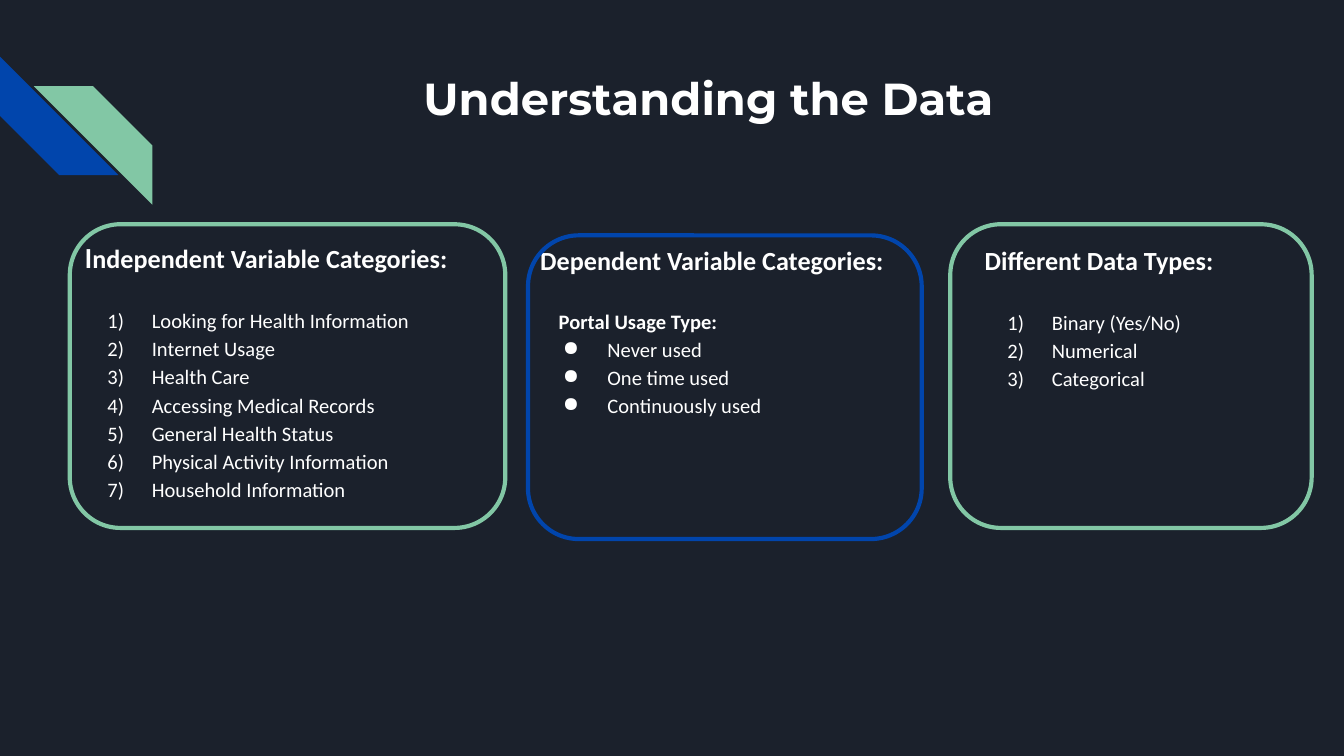
from lxml.etree import SubElement
from pptx import Presentation
from pptx.dml.color import RGBColor
from pptx.enum.shapes import MSO_SHAPE
from pptx.enum.text import PP_ALIGN
from pptx.oxml.ns import qn
from pptx.util import Cm, Pt

NAVY, BLUE, GREEN, WHITE = "1B212C", "0145AC", "82C7A5", "FFFFFF"


def color(hex_value):
    return RGBColor.from_string(hex_value)


class Deck:
    """Holds the text style and the current slide."""

    font_name = "Calibri"
    heading_size, item_size = 14, 11
    line_spacing = 1.15

    def __init__(self, width, height):
        self.presentation = Presentation()
        self.presentation.slide_width = Cm(width)
        self.presentation.slide_height = Cm(height)

    def add_slide(self, background):
        self.slide = self.presentation.slides.add_slide(self.presentation.slide_layouts[6])
        fill = self.slide.background.fill
        fill.solid()
        fill.fore_color.rgb = color(background)

    def stripe(self, left, top, size, rotation, fill):
        stripe = self.slide.shapes.add_shape(
            MSO_SHAPE.DIAGONAL_STRIPE, Cm(left), Cm(top), Cm(size), Cm(size))
        stripe.adjustments[0] = 0.5
        stripe.rotation = rotation
        stripe.shadow.inherit = False
        stripe.fill.solid()
        stripe.fill.fore_color.rgb = color(fill)
        stripe.line.fill.background()

    def frame(self, left, top, width, height, outline):
        frame = self.slide.shapes.add_shape(
            MSO_SHAPE.ROUNDED_RECTANGLE, Cm(left), Cm(top), Cm(width), Cm(height))
        frame.adjustments[0] = 0.167
        frame.shadow.inherit = False
        frame.fill.background()
        frame.line.color.rgb = color(outline)
        frame.line.width = Pt(2.25)

    def text_area(self, left, top, width, height):
        area = self.slide.shapes.add_textbox(Cm(left), Cm(top), Cm(width), Cm(height)).text_frame
        area.word_wrap = True
        area.margin_left = area.margin_right = Cm(0.25)
        area.margin_top = area.margin_bottom = Cm(0.25)
        return area

    def style(self, paragraph, size, bold=False, font_name=None):
        font = paragraph.font
        font.name = font_name or self.font_name
        font.size = Pt(size)
        font.bold = bold
        font.color.rgb = color(WHITE)

    def title(self, text, *bounds):
        title = self.text_area(*bounds).paragraphs[0]
        title.text = text
        title.alignment = PP_ALIGN.CENTER
        self.style(title, 24, True, "Montserrat")

    def heading(self, area, *parts, spacing=None):
        """Fill the first paragraph with one run for each part."""
        heading = area.paragraphs[0]
        heading.line_spacing = spacing
        self.style(heading, self.heading_size, True)
        for part in parts:
            heading.add_run().text = part
        return heading

    def label(self, area, text, indent, space_before):
        label = area.add_paragraph()
        label.text = text
        label.line_spacing = self.line_spacing
        label.space_before = Pt(space_before)
        label._p.get_or_add_pPr().set("marL", str(Cm(indent)))
        self.style(label, self.item_size, True)

    def items(self, area, texts, marker, space_before=0, **marker_attributes):
        """Add a list whose marker is the a:buChar or a:buAutoNum tag."""
        for index, text in enumerate(texts):
            item = area.add_paragraph()
            item.text = text
            item.line_spacing = self.line_spacing
            item.space_before = Pt(0 if index else space_before)
            properties = item._p.get_or_add_pPr()
            properties.set("marL", str(Cm(1.27)))
            properties.set("indent", str(Cm(-0.84)))
            marker_color = SubElement(properties, qn("a:buClr"))
            SubElement(marker_color, qn("a:srgbClr"), val=WHITE)
            SubElement(properties, qn(marker), **marker_attributes)
            self.style(item, self.item_size)

    def numbered(self, area, texts):
        self.items(area, texts, "a:buAutoNum", space_before=16, type="arabicParenR")

    def bulleted(self, area, texts):
        self.items(area, texts, "a:buChar", char="●")


def main():
    deck = Deck(25.4, 14.29)
    deck.add_slide(NAVY)
    deck.stripe(0, 1.07, 2.24, 270, BLUE)
    deck.stripe(0.64, 1.63, 2.24, 90, GREEN)
    deck.title("Understanding the Data", 3.61, 1.09, 19.56, 2.54)

    independent = deck.text_area(1.35, 4.34, 9.45, 5.74)
    heading = deck.heading(independent, "I", "ndependent Variable Categories:")
    heading.runs[0].font.name = "Lato"
    deck.numbered(independent, [
        "Looking for Health Information",
        "Internet Usage",
        "Health Care",
        "Accessing Medical Records",
        "General Health Status",
        "Physical Activity Information",
        "Household Information",
    ])

    data_types = deck.text_area(18.36, 4.29, 6.2, 3.68)
    deck.heading(data_types, "Different Data Types:", spacing=deck.line_spacing)
    deck.numbered(data_types, ["Binary (Yes/No)", "Numerical", "Categorical"])

    dependent = deck.text_area(9.96, 4.29, 7.21, 6.1)
    deck.heading(dependent, "Dependent Variable Categories:", spacing=deck.line_spacing)
    deck.label(dependent, "Portal Usage Type:", indent=0.35, space_before=15.4)
    deck.bulleted(dependent, ["Never used", "One time used", "Continuously used"])

    for left, top, width, outline in [
        (9.98, 4.45, 7.44, BLUE),
        (17.96, 4.24, 6.83, GREEN),
        (1.32, 4.24, 8.23, GREEN),
    ]:
        deck.frame(left, top, width, 5.74, outline)

    deck.presentation.save("out.pptx")


if __name__ == "__main__":
    main()
